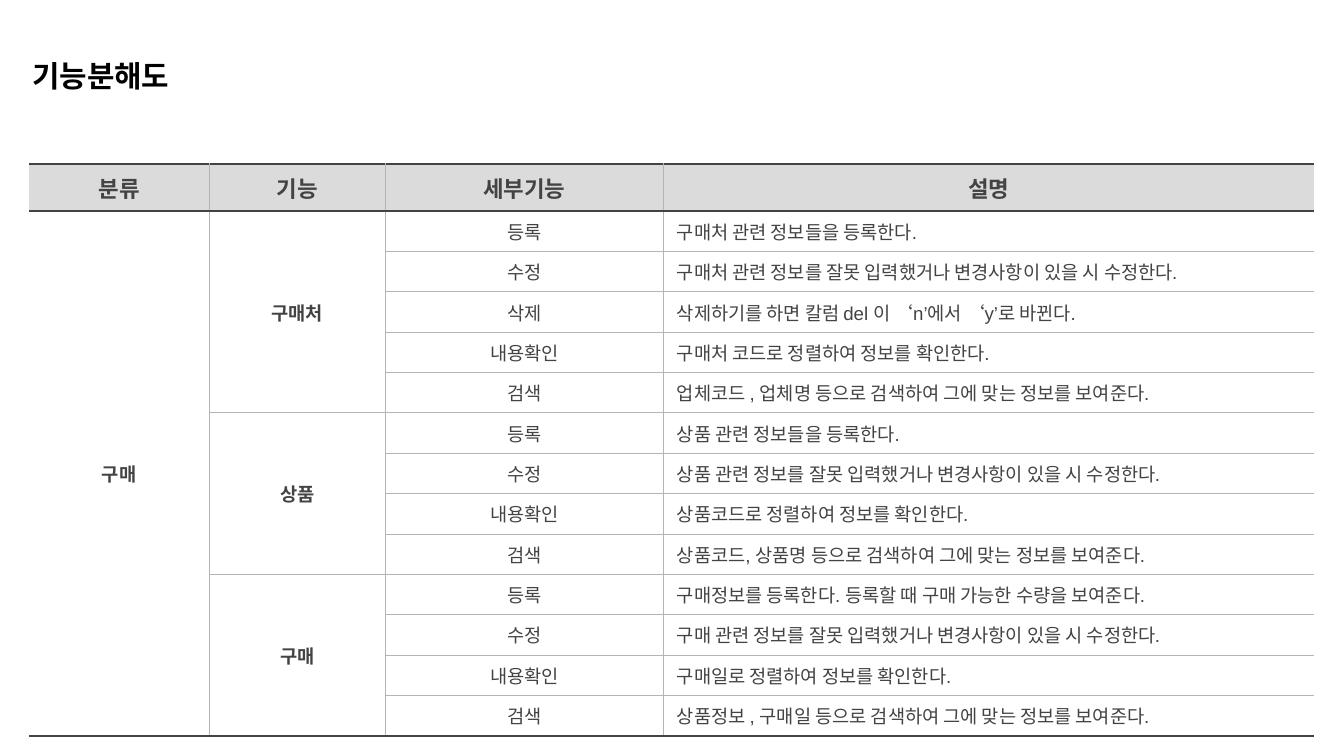
from dataclasses import dataclass

from lxml.etree import SubElement
from pptx import Presentation
from pptx.dml.color import RGBColor
from pptx.enum.text import MSO_ANCHOR, PP_ALIGN
from pptx.oxml.ns import qn
from pptx.util import Cm, Pt


@dataclass(frozen=True)
class Theme:
    font: str = "Arial"
    title_color: str = "000000"
    ink: str = "434343"
    grid: str = "B4B4B4"
    header_fill: str = "DBDBDB"
    body_fill: str = "FFFFFF"
    title_size: float = 16
    header_size: float = 12
    body_size: float = 10
    rule_width: float = 1.5
    grid_width: float = 0.5


theme = Theme()
HEADINGS = ["분류", "기능", "세부기능", "설명"]
CATEGORY = "구매"
FUNCTIONS = {
    "구매처": [
        ("등록", "구매처 관련 정보들을 등록한다."),
        ("수정", "구매처 관련 정보를 잘못 입력했거나 변경사항이 있을 시 수정한다."),
        ("삭제", "삭제하기를 하면 칼럼 del 이 ‘n’에서 ‘y’로 바뀐다."),
        ("내용확인", "구매처 코드로 정렬하여 정보를 확인한다."),
        ("검색", "업체코드 , 업체명 등으로 검색하여 그에 맞는 정보를 보여준다."),
    ],
    "상품": [
        ("등록", "상품 관련 정보들을 등록한다."),
        ("수정", "상품 관련 정보를 잘못 입력했거나 변경사항이 있을 시 수정한다."),
        ("내용확인", "상품코드로 정렬하여 정보를 확인한다."),
        ("검색", "상품코드, 상품명 등으로 검색하여 그에 맞는 정보를 보여준다."),
    ],
    "구매": [
        ("등록", "구매정보를 등록한다. 등록할 때 구매 가능한 수량을 보여준다."),
        ("수정", "구매 관련 정보를 잘못 입력했거나 변경사항이 있을 시 수정한다."),
        ("내용확인", "구매일로 정렬하여 정보를 확인한다."),
        ("검색", "상품정보 , 구매일 등으로 검색하여 그에 맞는 정보를 보여준다."),
    ],
}
COLUMN_WIDTHS = [3.4, 3.33, 5.26, 12.3]
HEADER_HEIGHT, ROW_HEIGHT = 0.89, 0.76


def style_text(paragraph, size, color, bold):
    paragraph.font.name = theme.font
    paragraph.font.size = Pt(size)
    paragraph.font.bold = bold
    paragraph.font.color.rgb = RGBColor.from_string(color)


def draw_border(cell, side, color, width):
    line = SubElement(cell._tc.get_or_add_tcPr(), qn(f"a:ln{side}"), w=str(Pt(width)))
    if color is None:
        SubElement(line, qn("a:noFill"))
    else:
        SubElement(SubElement(line, qn("a:solidFill")), qn("a:srgbClr"), val=color)


prs = Presentation()
prs.slide_width, prs.slide_height = Cm(25.4), Cm(14.29)
slide = prs.slides.add_slide(prs.slide_layouts[5])

title = slide.shapes.title
title.left, title.top, title.width, title.height = Cm(0.36), Cm(0.84), Cm(6.86), Cm(1.6)
title_frame = title.text_frame
title_frame.text = "기능분해도"
title_frame.vertical_anchor = MSO_ANCHOR.TOP
title_frame.margin_left = title_frame.margin_right = Cm(0.25)
title_frame.margin_top = title_frame.margin_bottom = Cm(0.25)
title_frame.paragraphs[0].alignment = PP_ALIGN.LEFT
style_text(title_frame.paragraphs[0], theme.title_size, theme.title_color, True)

last_row = sum(len(details) for details in FUNCTIONS.values())
last_column = len(HEADINGS) - 1
breakdown = slide.shapes.add_table(
    last_row + 1, len(HEADINGS), Cm(0.55), Cm(3.1),
    Cm(sum(COLUMN_WIDTHS)), Cm(HEADER_HEIGHT + last_row * ROW_HEIGHT),
).table
breakdown.horz_banding = False
for column, width in zip(breakdown.columns, COLUMN_WIDTHS):
    column.width = Cm(width)
for row_index, row in enumerate(breakdown.rows):
    row.height = Cm(ROW_HEIGHT if row_index else HEADER_HEIGHT)

entries = [(0, 0, column, heading) for column, heading in enumerate(HEADINGS)]
entries.append((1, last_row, 0, CATEGORY))
first = 1
for function, details in FUNCTIONS.items():
    entries.append((first, first + len(details) - 1, 1, function))
    for row_index, detail in enumerate(details, first):
        entries += [(row_index, row_index, column, text) for column, text in enumerate(detail, 2)]
    first += len(details)

for start, end, column, text in entries:
    is_header = start == 0
    top_line = (theme.ink, theme.rule_width) if start <= 1 else (theme.grid, theme.grid_width)
    bottom_line = (theme.ink, theme.rule_width) if end in (0, last_row) else (theme.grid, theme.grid_width)
    for row_index in range(start, end + 1):
        cell = breakdown.cell(row_index, column)
        draw_border(cell, "L", theme.grid if column else None, theme.grid_width)
        draw_border(cell, "R", theme.grid if column < last_column else None, theme.grid_width)
        if row_index == start:
            draw_border(cell, "T", *top_line)
        if row_index in (start, end):
            draw_border(cell, "B", *bottom_line)
        cell.fill.solid()
        cell.fill.fore_color.rgb = RGBColor.from_string(
            theme.header_fill if is_header else theme.body_fill)
    label = breakdown.cell(start, column)
    if end > start:
        label.merge(breakdown.cell(end, column))
    label.text = text
    label.vertical_anchor = MSO_ANCHOR.MIDDLE if is_header or column < 2 else MSO_ANCHOR.TOP
    paragraph = label.text_frame.paragraphs[0]
    paragraph.alignment = PP_ALIGN.CENTER if is_header or column < last_column else PP_ALIGN.LEFT
    style_text(paragraph, theme.header_size if is_header else theme.body_size,
               theme.ink, is_header or column < 2)

prs.save("out.pptx")
